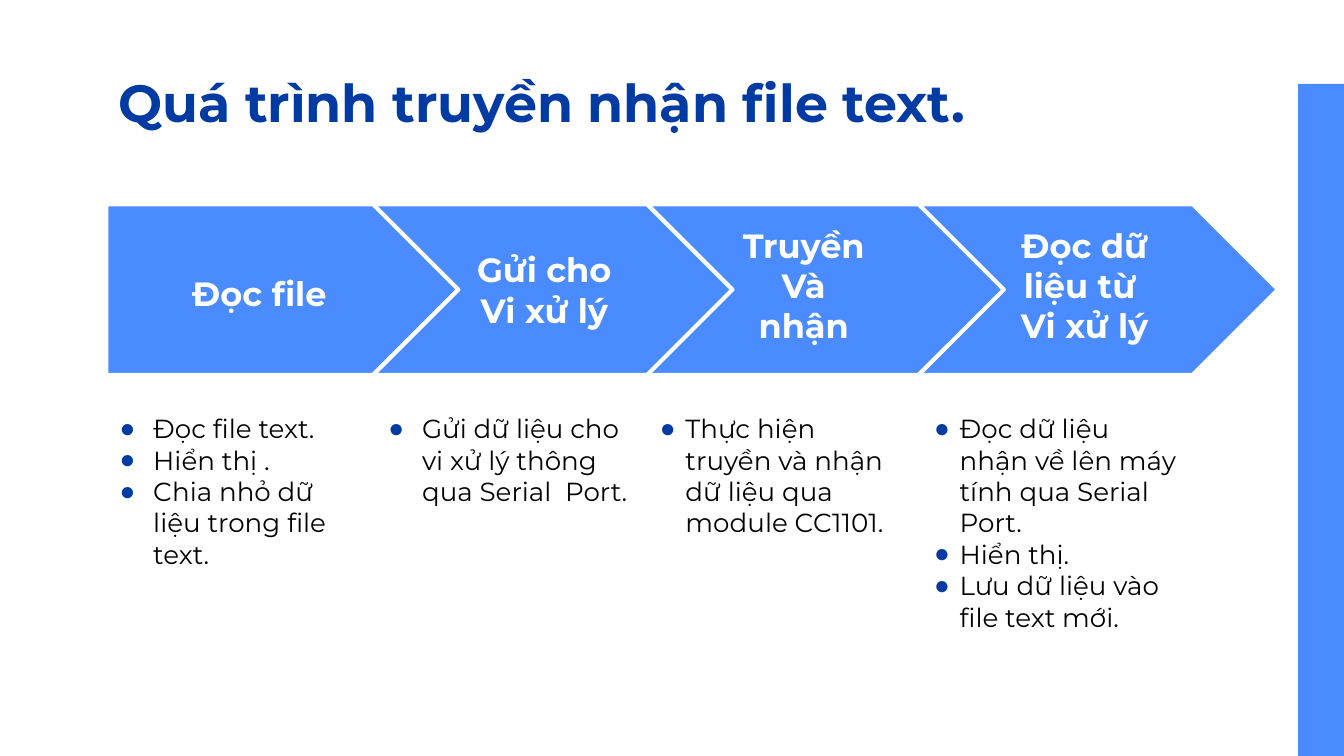
from pptx import Presentation
from pptx.dml.color import RGBColor
from pptx.enum.shapes import MSO_SHAPE
from pptx.enum.text import MSO_ANCHOR, MSO_AUTO_SIZE, PP_ALIGN
from pptx.oxml.ns import qn
from pptx.util import Inches, Pt
from lxml import etree

RECT, ARROW = MSO_SHAPE.RECTANGLE, MSO_SHAPE.PENTAGON
TOP, MIDDLE = MSO_ANCHOR.TOP, MSO_ANCHOR.MIDDLE
LEFT, CENTER = PP_ALIGN.LEFT, PP_ALIGN.CENTER
NO_FIT = MSO_AUTO_SIZE.NONE
BLUE, NAVY, WHITE, BLACK = "4A8CFF", "003BA3", "FFFFFF", "000000"


def color(code):
    return RGBColor.from_string(code)


def write(box, area, lines, size, ink, bold, align, anchor=TOP, indent=None):
    box.left, box.top, box.width, box.height = [Inches(n) for n in area]
    frame = box.text_frame
    frame.word_wrap = True
    frame.auto_size = NO_FIT
    frame.vertical_anchor = anchor
    frame.margin_left = frame.margin_right = Inches(0.1)
    frame.margin_top = frame.margin_bottom = Inches(0.1)
    for i, line in enumerate(lines):
        para = frame.add_paragraph() if i else frame.paragraphs[0]
        para.alignment = align
        para.space_before = para.space_after = Pt(0)
        run = para.add_run()
        run.text = line
        font = run.font
        font.name, font.size, font.bold = "Montserrat", Pt(size), bold
        font.color.rgb = color(ink)
        if indent:
            props = para._p.get_or_add_pPr()
            props.set("marL", str(Inches(indent)))
            props.set("indent", str(-Inches(indent)))
            tint = etree.SubElement(props, qn("a:buClr"))
            etree.SubElement(tint, qn("a:srgbClr"), val=NAVY)
            etree.SubElement(props, qn("a:buChar"), char="●")


# Widescreen, 16 to 9
deck = Presentation()
deck.slide_width = Inches(10)
deck.slide_height = Inches(10 * 9 / 16)

# Comparison layout: a title and four bodies, one per step
slide = deck.slides.add_slide(deck.slide_layouts[4])
shapes = slide.shapes
bodies = [p for p in slide.placeholders if 1 <= p.placeholder_format.idx <= 4]

# Side bar, down to the bottom edge
high = Inches(5)
bar = shapes.add_shape(RECT, Inches(9.66), deck.slide_height - high,
                       Inches(0.34), high)
bar.shadow.inherit = False
bar.fill.solid()
bar.fill.fore_color.rgb = color(BLUE)
bar.line.fill.background()

# Title
write(shapes.title, (0.78, 0.42, 8.43, 0.71),
      ["Quá trình truyền nhận file text."], 28, NAVY, True, LEFT)

# Steps: arrow left and width, heading area, anchor and lines,
# list width, indent and items
steps = [
    (0.79, 2.62, (1.17, 1.93, 1.52, 0.5), TOP, ["Đọc file"],
     2, 0.25, ["Đọc file text.", "Hiển thị .",
               "Chia nhỏ dữ liệu trong file text."]),
    (2.79, 2.66, (3.29, 1.52, 1.52, 1.27), MIDDLE, ["Gửi cho", "Vi xử lý"],
     2.02, 0.25, ["Gửi dữ liệu cho vi xử lý thông qua Serial  Port."]),
    (4.81, 2.66, (5.22, 1.57, 1.52, 1.22), TOP, ["Truyền", "Và", "nhận"],
     2.04, 0.19, ["Thực hiện truyền và nhận dữ liệu qua module CC1101."]),
    (6.85, 2.66, (7.31, 1.57, 1.52, 1.22), TOP, ["Đọc dữ liệu từ ", "Vi xử lý"],
     2.04, 0.19, ["Đọc dữ liệu nhận về lên máy tính qua Serial Port.",
                  "Hiển thị.", "Lưu dữ liệu vào file text mới."]),
]

# Arrows, last one first so that each overlaps the next
for left, width, *rest in reversed(steps):
    arrow = shapes.add_shape(ARROW, Inches(left), Inches(1.52),
                             Inches(width), Inches(1.27))
    arrow.adjustments[0] = 0.5
    arrow.shadow.inherit = False
    arrow.fill.solid()
    arrow.fill.fore_color.rgb = color(BLUE)
    arrow.line.color.rgb = color(WHITE)
    arrow.line.width = Pt(2.25)

# Headings and lists
for body, step in zip(bodies, steps):
    left, width, area, anchor, head, span, indent, items = step
    label = shapes.add_textbox(0, 0, 0, 0)
    write(label, area, head, 18, WHITE, True, CENTER, anchor)
    write(body, (left, 2.97, span, 1.82), items, 14, BLACK, False, LEFT,
          indent=indent)

deck.save("out.pptx")
